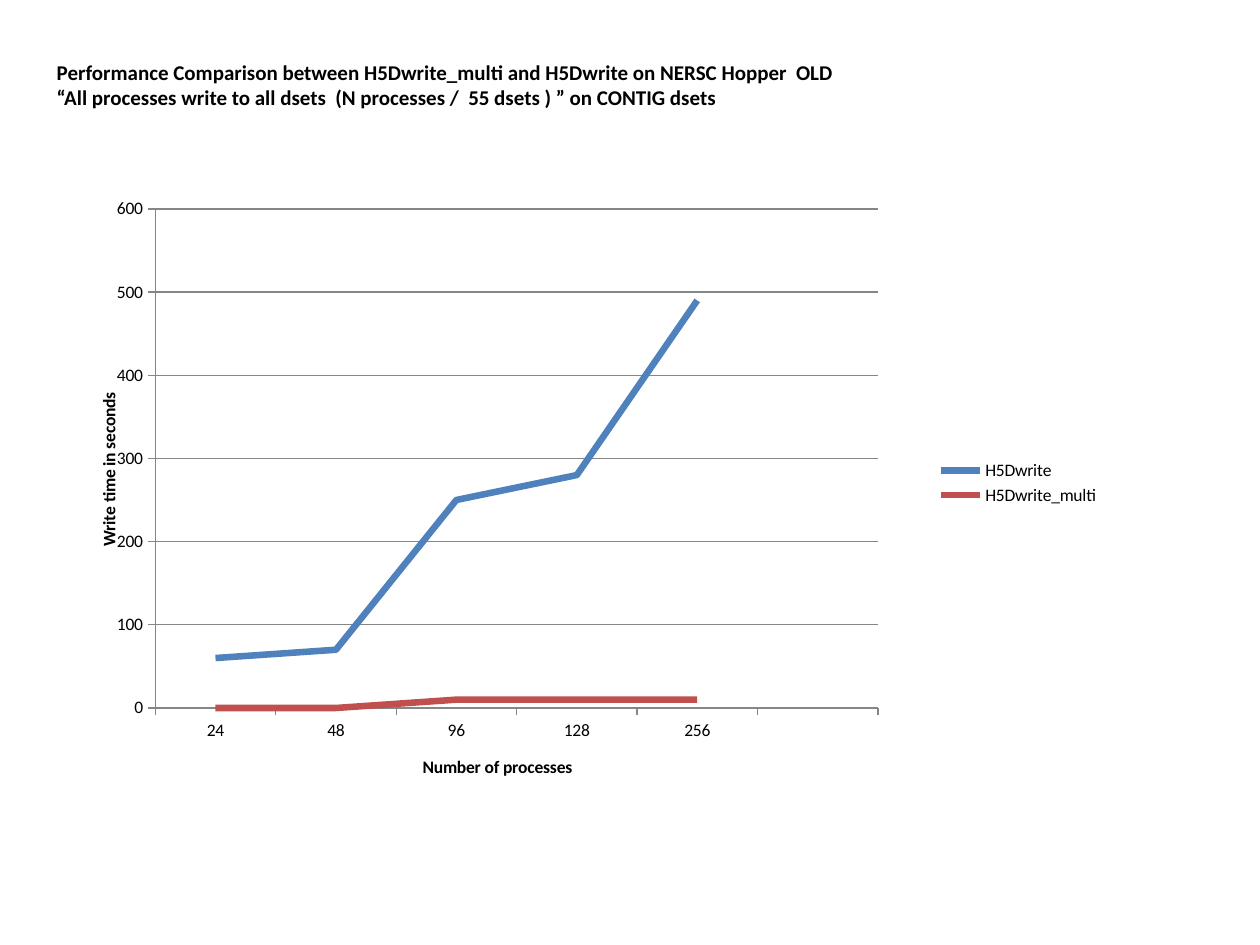
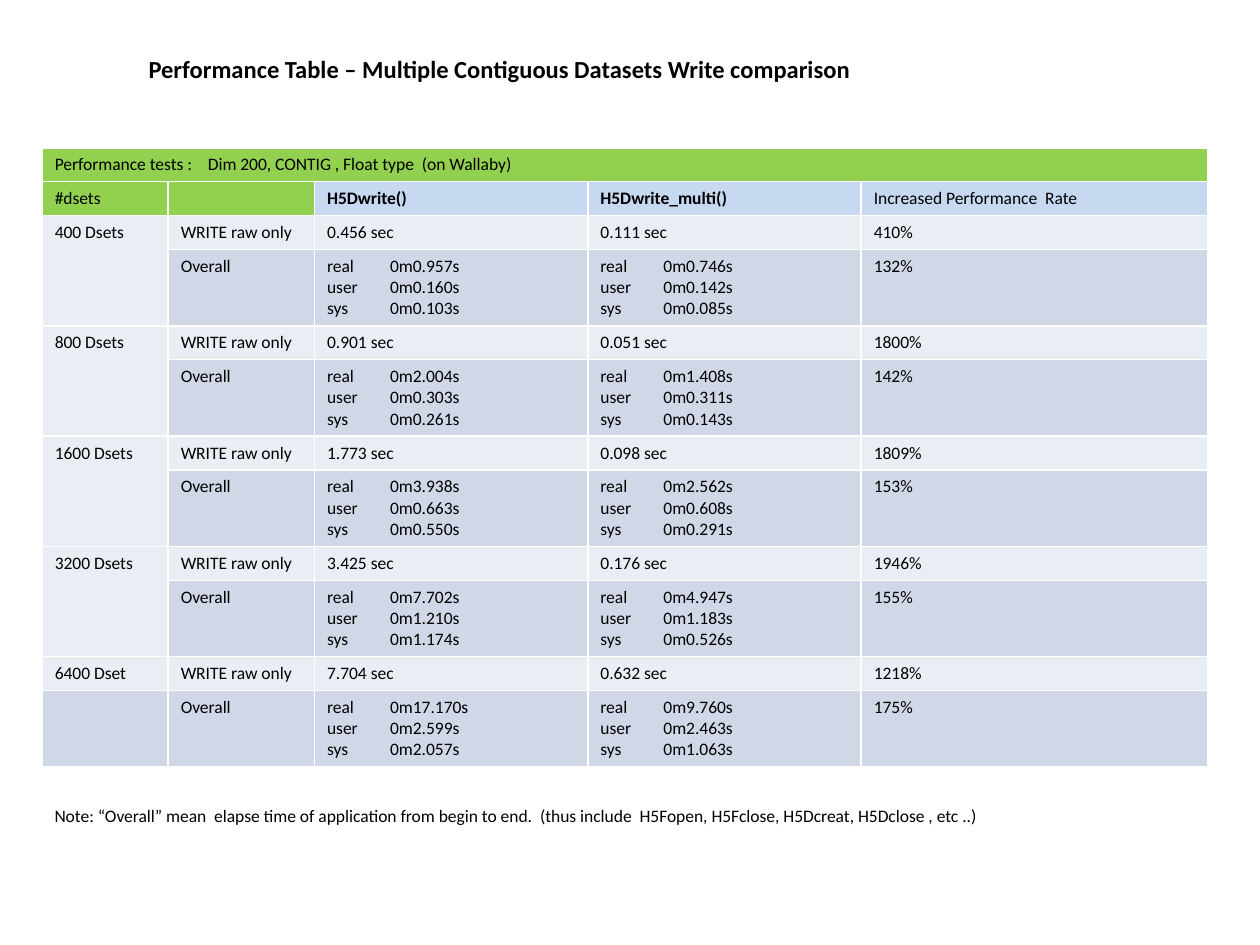
"""Build two slides that compare H5Dwrite with H5Dwrite_multi."""
from lxml import etree
from pptx import Presentation
from pptx import util as u
from pptx.chart import data as chart_data
from pptx.dml.color import RGBColor
from pptx.enum import chart as charts, text as texts
from pptx.oxml import ns

FONT = "Calibri"
BLACK = RGBColor(0x00, 0x00, 0x00)
GREY = RGBColor(0x86, 0x86, 0x86)
BLUE = RGBColor(0x4F, 0x81, 0xBD)
RED = RGBColor(0xC0, 0x50, 0x4D)
GREEN = RGBColor(0x92, 0xD0, 0x50)
HEADER_BLUE = RGBColor(0xC6, 0xD9, 0xF1)
BAND_LIGHT = RGBColor(0xE9, 0xED, 0xF4)
BAND_DARK = RGBColor(0xD0, 0xD8, 0xE8)
BODY_SIZE = 10
TITLE_ONLY = 5

WRITE_TIMES = {
    "H5Dwrite": ((60, 70, 250, 280, 490, None), BLUE),
    "H5Dwrite_multi": ((0, 0, 10, 10, 10, None), RED),
}
PROCESSES = ("24", "48", "96", "128", "256", "")

COLUMN_WIDTHS = (2.54, 2.95, 5.51, 5.51, 6.99)
LINE_ROW, TIMES_ROW = 0.68, 1.54
HEADINGS = ("#dsets", "", "H5Dwrite()", "H5Dwrite_multi()",
            "Increased Performance  Rate")
TESTS = (
    ("400 Dsets", ("0.456", "0.111", "410%"),
     ("0m0.957s", "0m0.160s", "0m0.103s"), ("0m0.746s", "0m0.142s", "0m0.085s"), "132%"),
    ("800 Dsets", ("0.901", "0.051", "1800%"),
     ("0m2.004s", "0m0.303s", "0m0.261s"), ("0m1.408s", "0m0.311s", "0m0.143s"), "142%"),
    ("1600 Dsets", ("1.773", "0.098", "1809%"),
     ("0m3.938s", "0m0.663s", "0m0.550s"), ("0m2.562s", "0m0.608s", "0m0.291s"), "153%"),
    ("3200 Dsets", ("3.425", "0.176", "1946%"),
     ("0m7.702s", "0m1.210s", "0m1.174s"), ("0m4.947s", "0m1.183s", "0m0.526s"), "155%"),
    ("6400 Dset", ("7.704", "0.632", "1218%"),
     ("0m17.170s", "0m2.599s", "0m2.057s"), ("0m9.760s", "0m2.463s", "0m1.063s"), "175%"),
)


def style_font(font, size=BODY_SIZE, bold=False):
    """Apply the shared typeface and colour to a font."""
    font.name = FONT
    font.size = u.Pt(size)
    font.bold = bold
    font.color.rgb = BLACK


def write(frame, content, size=BODY_SIZE, bold=False):
    """Write one left-aligned paragraph per line of content."""
    for index, line in enumerate(content.split("\n")):
        para = frame.add_paragraph() if index else frame.paragraphs[0]
        para.alignment = texts.PP_ALIGN.LEFT
        if line:
            span = para.add_run()
            span.text = line
            style_font(span.font, size, bold)
        else:
            etree.SubElement(para._p, ns.qn("a:endParaRPr"), sz=str(size * 100))


def place(shape, left, top, width, height):
    """Move and resize a shape, in centimetres."""
    shape.left, shape.top = u.Cm(left), u.Cm(top)
    shape.width, shape.height = u.Cm(width), u.Cm(height)


def add_page(deck, title, size, *position):
    """Add a page whose title placeholder is moved and formatted."""
    page = deck.slides.add_slide(deck.slide_layouts[TITLE_ONLY])
    place(page.shapes.title, *position)
    frame = page.shapes.title.text_frame
    frame.auto_size = texts.MSO_AUTO_SIZE.NONE
    frame.vertical_anchor = texts.MSO_ANCHOR.TOP
    write(frame, title, size, bold=True)
    return page


def add_note(page, content, *position):
    """Add a wrapped text box."""
    box = page.shapes.add_textbox(*map(u.Cm, position))
    box.text_frame.word_wrap = True
    write(box.text_frame, content)


def set_plot_area(chart, **fractions):
    """Fix the inner plot area as fractions of the chart."""
    area = chart._chartSpace.chart.plotArea
    for old in area.findall(ns.qn("c:layout")):
        area.remove(old)
    layout = etree.Element(ns.qn("c:layout"))
    manual = etree.SubElement(layout, ns.qn("c:manualLayout"))
    settings = {"layoutTarget": "inner", "xMode": "edge", "yMode": "edge", **fractions}
    for name, value in settings.items():
        etree.SubElement(manual, ns.qn(f"c:{name}"), val=str(value))
    area.insert(0, layout)


def style_axis(axis, title):
    """Give an axis its title, line and outside ticks."""
    write(axis.axis_title.text_frame, title, bold=True)
    axis.major_tick_mark = charts.XL_TICK_MARK.OUTSIDE
    axis.minor_tick_mark = charts.XL_TICK_MARK.NONE
    axis.format.line.color.rgb = GREY
    axis.format.line.width = u.Pt(0.75)
    style_font(axis.tick_labels.font)


def add_write_time_chart(page, *position):
    """Add the line chart of write times by process count."""
    values = chart_data.CategoryChartData()
    values.categories = PROCESSES
    for name, (seconds, _) in WRITE_TIMES.items():
        values.add_series(name, seconds)
    chart = page.shapes.add_chart(
        charts.XL_CHART_TYPE.LINE, *map(u.Cm, position), values).chart
    style_font(chart.font)
    chart.has_title = False
    chart.has_legend = True
    chart.legend.position = charts.XL_LEGEND_POSITION.RIGHT
    chart.legend.include_in_layout = False
    style_font(chart.legend.font)
    plot = chart.plots[0]
    plot.vary_by_categories = False
    for series, (_, color) in zip(plot.series, WRITE_TIMES.values()):
        series.smooth = False
        series.marker.style = charts.XL_MARKER_STYLE.NONE
        series.format.line.color.rgb = color
        series.format.line.width = u.Pt(3.75)
    style_axis(chart.category_axis, "Number of processes")
    style_axis(chart.value_axis, "Write time in seconds")
    chart.value_axis.minimum_scale = 0
    chart.value_axis.maximum_scale = 600
    chart.value_axis.major_unit = 100
    grid = chart.value_axis.major_gridlines.format.line
    grid.color.rgb = GREY
    grid.width = u.Pt(0.75)
    set_plot_area(chart, x=0.06, y=0.05, w=0.71, h=0.82)


def fill_row(table, index, height, contents, fills, bold_columns=()):
    """Write and colour the cells of one table row."""
    table.rows[index].height = u.Cm(height)
    for column, (content, fill) in enumerate(zip(contents, fills)):
        cell = table.cell(index, column)
        cell.fill.solid()
        cell.fill.fore_color.rgb = fill
        write(cell.text_frame, content, bold=column in bold_columns)


def list_times(times):
    """Join real, user and sys times into tabbed lines."""
    return "\n".join(f"{kind}\t{time}" for kind, time in zip(("real", "user", "sys"), times))


def add_performance_table(page, *position):
    """Add the table with two rows per test."""
    table = page.shapes.add_table(
        2 + 2 * len(TESTS), len(COLUMN_WIDTHS), *map(u.Cm, position)).table
    for column, width in zip(table.columns, COLUMN_WIDTHS):
        column.width = u.Cm(width)
    caption = "Performance tests :    Dim 200, CONTIG , Float type  (on Wallaby)"
    fill_row(table, 0, LINE_ROW, (caption, "", "", "", ""), [GREEN] * 5)
    table.cell(0, 0).merge(table.cell(0, 4))
    fill_row(table, 1, LINE_ROW, HEADINGS, [GREEN] * 2 + [HEADER_BLUE] * 3, (2, 3))
    for number, (dsets, (single, multi, rate), *overall) in enumerate(TESTS):
        top = 2 + 2 * number
        single_times, multi_times, overall_rate = overall
        fill_row(table, top, LINE_ROW,
                 (dsets, "WRITE raw only", f"{single} sec", f"{multi} sec", rate),
                 [BAND_LIGHT] * 5)
        fill_row(table, top + 1, TIMES_ROW,
                 ("", "Overall", list_times(single_times), list_times(multi_times),
                  overall_rate), [BAND_DARK] * 5)
        if number < len(TESTS) - 1:
            table.cell(top, 0).merge(table.cell(top + 1, 0))


def main():
    """Build and save the deck."""
    deck = Presentation()
    deck.slide_width, deck.slide_height = u.Cm(25.4), u.Cm(19.05)

    page = add_page(
        deck,
        "Performance Comparison between H5Dwrite_multi and H5Dwrite on NERSC Hopper  OLD\n"
        "“All processes write to all dsets  (N processes /  55 dsets ) ” on CONTIG dsets",
        12, 0.89, 1.07, 23.09, 1.27)
    add_write_time_chart(page, 1.9, 3.6, 20.52, 12.27)

    page = add_page(
        deck, "Performance Table – Multiple Contiguous Datasets Write comparison",
        14, 2.74, 0.97, 15.24, 0.86)
    add_performance_table(page, 0.85, 2.98, 23.5, 12.46)
    add_note(
        page,
        "Note: “Overall” mean  elapse time of application from begin to end.  "
        "(thus include  H5Fopen, H5Fclose, H5Dcreat, H5Dclose , etc ..)",
        0.85, 16.1, 23.09, 0.69)
    deck.save("out.pptx")


if __name__ == "__main__":
    main()
